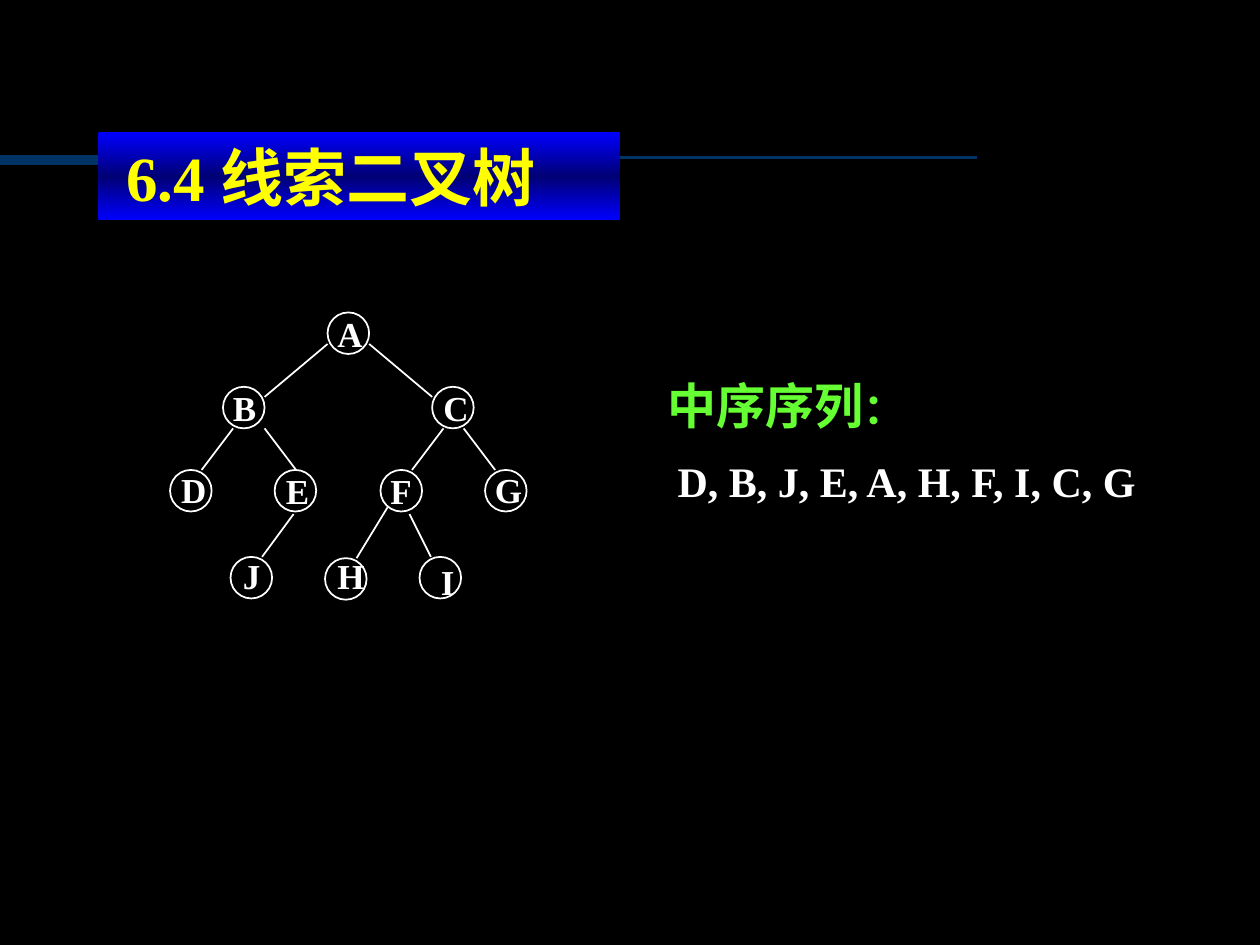
from dataclasses import dataclass

from lxml.etree import SubElement
from pptx import Presentation
from pptx.dml.color import RGBColor
from pptx.enum.shapes import MSO_CONNECTOR, MSO_SHAPE
from pptx.enum.text import MSO_ANCHOR, MSO_AUTO_SIZE, PP_ALIGN
from pptx.oxml.ns import qn
from pptx.util import Inches, Pt


@dataclass(frozen=True)
class Theme:
    background: str = "000000"
    ink: str = "FFFFFF"
    rule: str = "003366"
    title: str = "FFFF00"
    heading: str = "66FF33"
    banner_edge: str = "0000FF"
    banner_middle: str = "000075"
    latin: str = "Times New Roman"
    chinese: str = "Noto Sans CJK SC"
    title_size: int = 36
    heading_size: int = 28
    body_size: int = 24
    node_size: int = 20


class SlideBuilder:
    def __init__(self, slide, theme):
        self.slide = slide
        self.theme = theme
        background = slide.background.fill
        background.solid()
        background.fore_color.rgb = RGBColor.from_string(theme.background)

    def run(self, paragraph, text, size, color, latin=None):
        run = paragraph.add_run()
        run.text = text
        font = run.font
        font.name = latin or self.theme.latin
        font.size = Pt(size)
        font.bold = True
        font.color.rgb = RGBColor.from_string(color)
        SubElement(font._element, qn("a:ea"), typeface=self.theme.chinese)

    def frame(self, shape):
        frame = shape.text_frame
        frame.word_wrap = True
        frame.auto_size = MSO_AUTO_SIZE.NONE
        frame.vertical_anchor = MSO_ANCHOR.TOP
        frame.paragraphs[0].alignment = PP_ALIGN.LEFT
        return frame

    def title(self, left, top, width, height):
        shape = self.slide.shapes.title
        shape.left, shape.top = Inches(left), Inches(top)
        shape.width, shape.height = Inches(width), Inches(height)
        # Vertical gradient: bright edges, dark middle
        properties = shape._element.spPr
        gradient = SubElement(properties, qn("a:gradFill"), rotWithShape="1")
        stops = SubElement(gradient, qn("a:gsLst"))
        theme = self.theme
        for position, color in ((0, theme.banner_edge), (50, theme.banner_middle),
                                (100, theme.banner_edge)):
            stop = SubElement(stops, qn("a:gs"), pos=str(position * 1000))
            SubElement(stop, qn("a:srgbClr"), val=color)
        SubElement(gradient, qn("a:lin"), ang="5400000", scaled="1")
        # Bring the banner in front of the rules
        self.slide.shapes._spTree.append(shape._element)
        frame = self.frame(shape)
        frame.margin_left = Inches(0.22)
        return frame.paragraphs[0]

    def text_box(self, left, top, width, height):
        return self.frame(self.slide.shapes.add_textbox(
            Inches(left), Inches(top), Inches(width), Inches(height)))

    def line(self, start, end, color, width):
        connector = self.slide.shapes.add_connector(
            MSO_CONNECTOR.STRAIGHT, *map(Inches, (*start, *end)))
        connector.line.color.rgb = RGBColor.from_string(color)
        connector.line.width = Pt(width)
        SubElement(connector._element.spPr, qn("a:effectLst"))

    def circle(self, left, top, diameter):
        shape = self.slide.shapes.add_shape(
            MSO_SHAPE.OVAL, Inches(left), Inches(top), Inches(diameter), Inches(diameter))
        shape.shadow.inherit = False
        shape.fill.solid()
        shape.fill.fore_color.rgb = RGBColor.from_string(self.theme.background)
        shape.line.color.rgb = RGBColor.from_string(self.theme.ink)
        shape.line.width = Pt(1)

    def label(self, text, left, top):
        paragraph = self.text_box(left, top, 0.46, 0.44).paragraphs[0]
        self.run(paragraph, text, self.theme.node_size, self.theme.ink)


# Node name: circle corner, label corner
NODES = {
    "A": ((2.6, 2.48), (2.58, 2.43)),
    "B": ((1.77, 3.07), (1.75, 3.02)),
    "C": ((3.43, 3.07), (3.42, 3.02)),
    "D": ((1.35, 3.73), (1.34, 3.67)),
    "E": ((2.18, 3.73), (2.17, 3.68)),
    "F": ((3.02, 3.73), (3.0, 3.68)),
    "G": ((3.85, 3.73), (3.83, 3.67)),
    "J": ((1.83, 4.42), (1.83, 4.35)),
    "H": ((2.58, 4.43), (2.58, 4.35)),
    "I": ((3.33, 4.42), (3.4, 4.4)),
}

# Branches from parent to child
BRANCHES = [
    ((2.6, 2.73), (2.1, 3.15)),    # A-B
    ((2.93, 2.73), (3.43, 3.15)),  # A-C
    ((1.85, 3.4), (1.6, 3.73)),    # B-D
    ((2.1, 3.4), (2.35, 3.73)),    # B-E
    ((3.52, 3.4), (3.27, 3.73)),   # C-F
    ((3.68, 3.4), (3.93, 3.73)),   # C-G
    ((2.33, 4.08), (2.08, 4.42)),  # E-J
    ((3.08, 4.02), (2.83, 4.43)),  # F-H
    ((3.25, 4.08), (3.42, 4.42)),  # F-I
]


def main():
    presentation = Presentation()
    presentation.slide_width, presentation.slide_height = Inches(10), Inches(7.5)
    theme = Theme()
    slide = presentation.slides.add_slide(presentation.slide_layouts[5])
    builder = SlideBuilder(slide, theme)

    # Rules behind the title banner
    builder.line((0, 1.25), (7.75, 1.25), theme.rule, 1.5)
    builder.line((0, 1.27), (3.42, 1.27), theme.rule, 6)

    # Title banner
    title = builder.title(0.78, 1.05, 4.14, 0.7)
    builder.run(title, "6.4 ", theme.title_size, theme.title)
    builder.run(title, "线索二叉树", theme.title_size, theme.title, theme.chinese)

    # Binary tree
    for corner, _ in NODES.values():
        builder.circle(*corner, 0.33)
    for start, end in BRANCHES:
        builder.line(start, end, theme.ink, 1)
    for name, (_, corner) in NODES.items():
        builder.label(name, *corner)

    # Inorder sequence
    frame = builder.text_box(5.2, 2.93, 4.2, 1.14)
    heading = frame.paragraphs[0]
    heading.space_after = Pt(12)
    builder.run(heading, "中序序列", theme.heading_size, theme.heading)
    builder.run(heading, "：", theme.body_size, theme.heading)
    sequence = frame.add_paragraph()
    sequence._p.get_or_add_pPr().set("marL", str(Inches(0.08)))
    builder.run(sequence, "D, B, J, E, A, H, F, I, C, G", theme.body_size, theme.ink)

    presentation.save("out.pptx")


if __name__ == "__main__":
    main()
